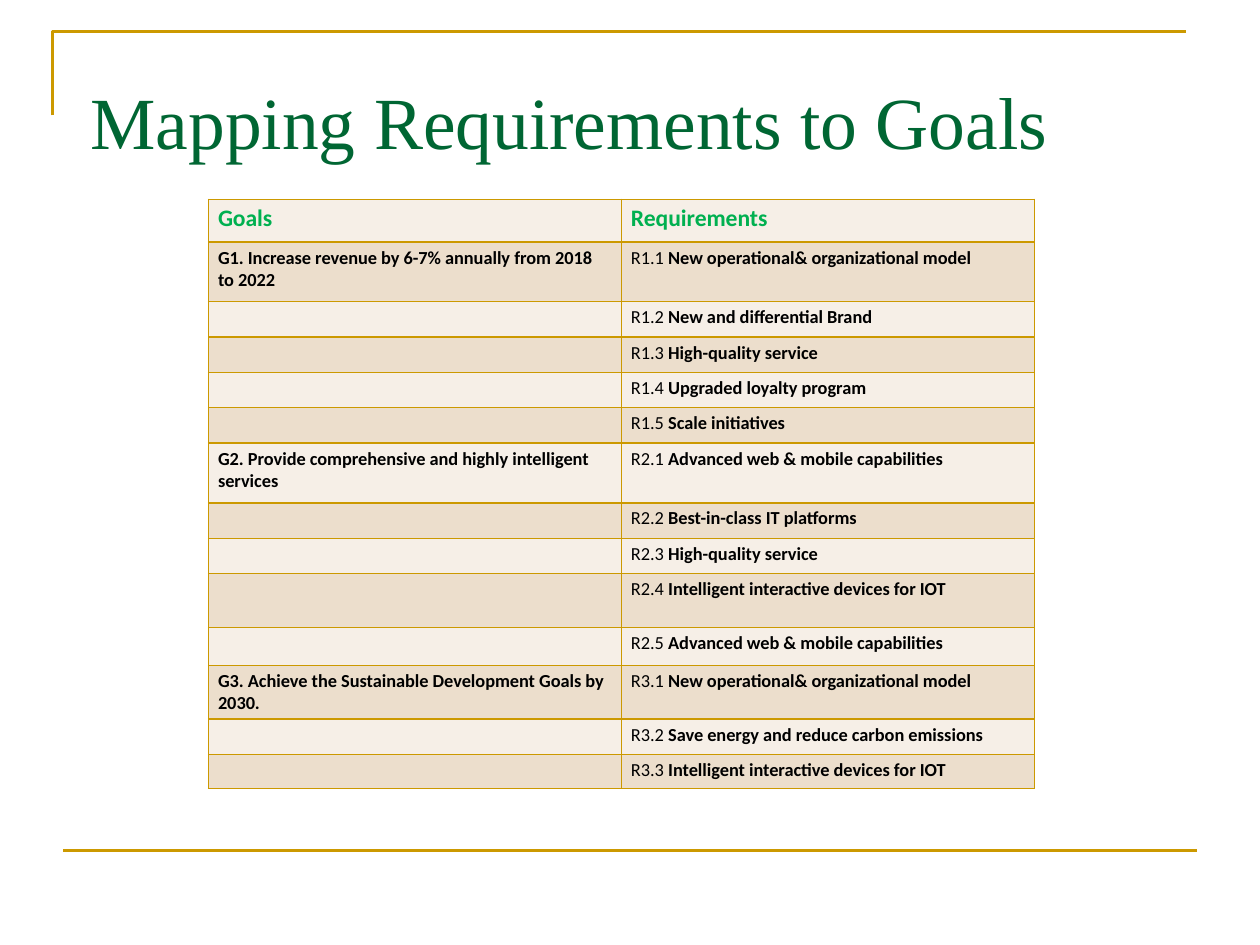
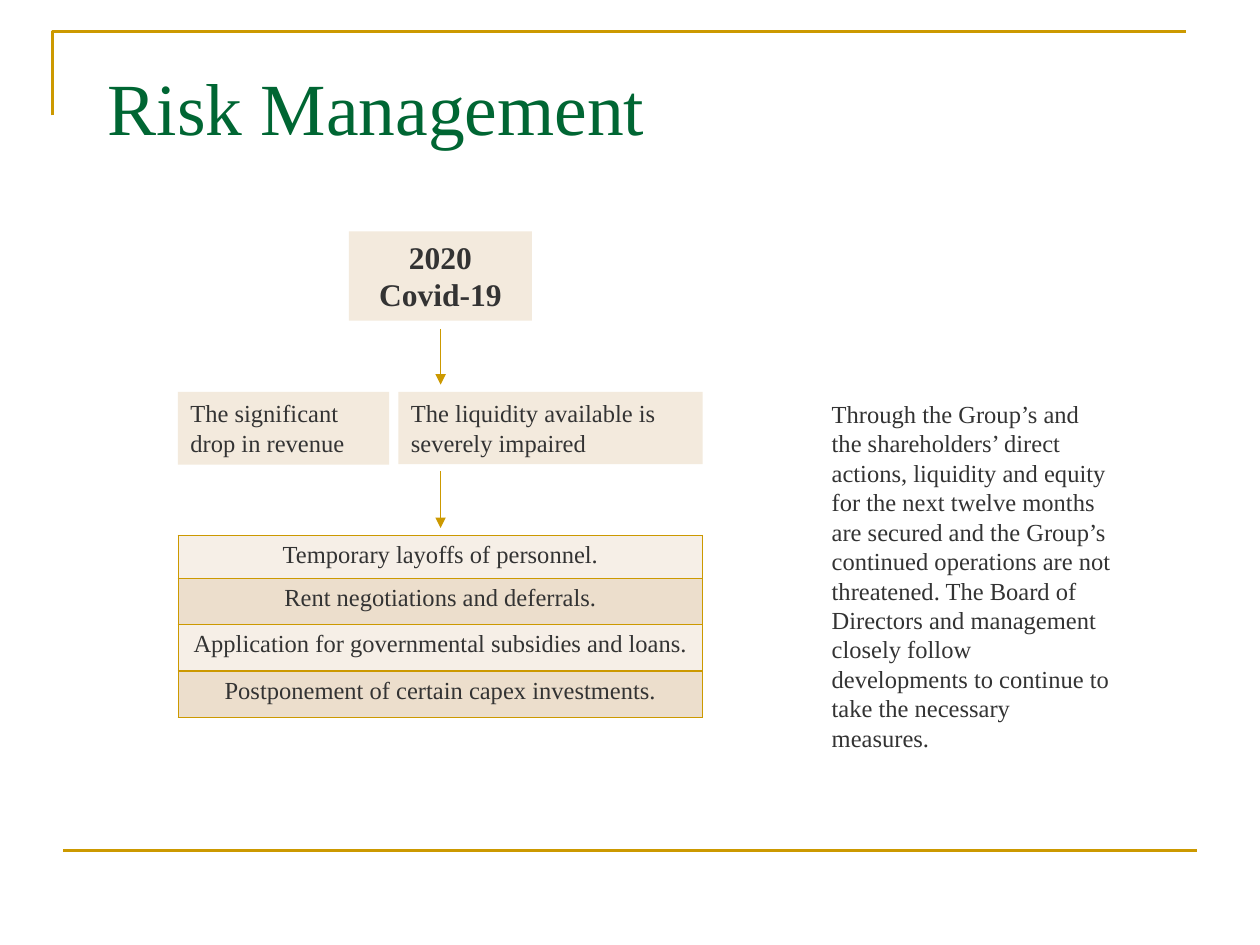
from lxml import etree
from pptx import Presentation
from pptx.dml.color import RGBColor
from pptx.enum.shapes import MSO_CONNECTOR, MSO_SHAPE
from pptx.enum.text import MSO_ANCHOR, PP_ALIGN
from pptx.oxml.ns import qn
from pptx.util import Pt

STRAIGHT = MSO_CONNECTOR.STRAIGHT
RECTANGLE = MSO_SHAPE.RECTANGLE
TOP, MIDDLE = MSO_ANCHOR.TOP, MSO_ANCHOR.MIDDLE
LEFT, CENTER = PP_ALIGN.LEFT, PP_ALIGN.CENTER

# Shared look
SERIF, SANS = "Times New Roman", "Calibri"
GOLD, TITLE_GREEN, HEADER_GREEN = "CC9900", "006633", "00B050"
INK, BLACK = "333333", "000000"
PANEL, LIGHT_ROW, DARK_ROW = "F3EADD", "F6EFE7", "ECDECC"
WIDE_INSETS = (7.2, 3.6, 7.2, 3.6)
TIGHT_INSETS = (5.4, 2.7, 5.4, 2.7)

# Goals, each with its requirements
GOALS = [
    ("G1. Increase revenue by 6-7% annually from 2018 to 2022", [
        "New operational& organizational model",
        "New and differential Brand",
        "High-quality service",
        "Upgraded loyalty program",
        "Scale initiatives"]),
    ("G2. Provide comprehensive and highly intelligent services", [
        "Advanced web & mobile capabilities",
        "Best-in-class IT platforms",
        "High-quality service",
        "Intelligent interactive devices for IOT",
        "Advanced web & mobile capabilities"]),
    ("G3. Achieve the Sustainable Development Goals by 2030.", [
        "New operational& organizational model",
        "Save energy and reduce carbon emissions",
        "Intelligent interactive devices for IOT"]),
]
GOAL_ROW_HEIGHTS = [24.4, 34, 20.3, 20.2, 20.2, 20.2, 34.2, 20.3, 20.2,
                    30.8, 21.6, 30.8, 20.1, 19.6]

MEASURES = ["Temporary layoffs of personnel.",
            "Rent negotiations and deferrals.",
            "Application for governmental subsidies and loans.",
            "Postponement of certain capex investments."]
OUTLOOK = ("Through the Group’s and the shareholders’ direct actions, liquidity "
           "and equity for the next twelve months are secured and the Group’s "
           "continued operations are not threatened. The Board of Directors and "
           "management closely follow developments to continue to take the "
           "necessary measures.")


def color(hex_code):
    return RGBColor.from_string(hex_code)


def points(*lengths):
    return [Pt(length) for length in lengths]


def style(para, size, ink=INK, font=SERIF, bold=False, align=LEFT):
    para.alignment = align
    para.font.size = Pt(size)
    para.font.name = font
    para.font.bold = bold
    para.font.color.rgb = color(ink)


def set_insets(target, insets):
    (target.margin_left, target.margin_top,
     target.margin_right, target.margin_bottom) = points(*insets)


def fill_text(shape, lines, size, insets=WIDE_INSETS, anchor=TOP, **look):
    frame = shape.text_frame
    frame.word_wrap = True
    frame.vertical_anchor = anchor
    set_insets(frame, insets)
    frame.text = "\n".join(lines)
    for para in frame.paragraphs:
        style(para, size, **look)


def add_text(page, area, text, size, **look):
    box = page.shapes.add_textbox(*points(*area))
    fill_text(box, [text], size, **look)


def add_panel(page, area, lines, size, **look):
    panel = page.shapes.add_shape(RECTANGLE, *points(*area))
    panel.shadow.inherit = False
    panel.fill.solid()
    panel.fill.fore_color.rgb = color(PANEL)
    panel.line.fill.background()
    fill_text(panel, lines, size, **look)


def add_line(page, start, end, width, arrow=False):
    line = page.shapes.add_connector(STRAIGHT, *points(*start, *end))
    line.line.color.rgb = color(GOLD)
    line.line.width = Pt(width)
    if arrow:
        etree.SubElement(line.line._get_or_add_ln(), qn("a:tailEnd"), type="triangle")
    etree.SubElement(line._element.spPr, qn("a:effectLst"))


def add_page(deck):
    """Blank page with the gold corner and the footer rule."""
    page = deck.slides.add_slide(deck.slide_layouts[6])
    builder = page.shapes.build_freeform(*points(30, 66))
    builder.add_line_segments([points(30, 18), points(678, 18)], close=False)
    corner = builder.convert_to_shape()
    corner.shadow.inherit = False
    corner.fill.background()
    corner.line.color.rgb = color(GOLD)
    corner.line.width = Pt(1.5)
    add_line(page, (36, 486), (684, 486), 1.5)
    return page


def add_title(page, area, text, insets, anchor):
    add_text(page, area, text, 42, ink=TITLE_GREEN, insets=insets, anchor=anchor)


def add_borders(cell):
    properties = cell._tc.get_or_add_tcPr()
    for side in ("lnL", "lnR", "lnT", "lnB"):
        border = etree.SubElement(properties, qn(f"a:{side}"), w=str(Pt(1)))
        solid = etree.SubElement(border, qn("a:solidFill"))
        etree.SubElement(solid, qn("a:srgbClr"), val=GOLD)


def add_banded_table(page, left, top, column_widths, row_heights, insets):
    """Empty table with gold borders and alternating row fills."""
    rows, columns = len(row_heights), len(column_widths)
    table = page.shapes.add_table(rows, columns, *points(
        left, top, sum(column_widths), sum(row_heights))).table
    table.first_row = table.horz_banding = False
    for column, width in zip(table.columns, column_widths):
        column.width = Pt(width)
    for index, (row, height) in enumerate(zip(table.rows, row_heights)):
        row.height = Pt(height)
        for cell in row.cells:
            set_insets(cell, insets)
            add_borders(cell)
            cell.fill.solid()
            cell.fill.fore_color.rgb = color(DARK_ROW if index % 2 else LIGHT_ROW)
    return table


def write_cell(cell, text, size, **look):
    para = cell.text_frame.paragraphs[0]
    style(para, size, **look)
    if text:
        para.add_run().text = text
    else:
        # Keeps an empty row as low as its neighbours
        etree.SubElement(para._p, qn("a:endParaRPr"), sz=str(int(size * 100)))
    return para


def build_goals(deck):
    page = add_page(deck)
    add_title(page, (44.6, 34.6, 620.6, 43.9), "Mapping Requirements to Goals",
              (7.2, 8.6, 7.2, 0), TOP)
    table = add_banded_table(page, 119.2, 113.9, [236, 236],
                             GOAL_ROW_HEIGHTS, TIGHT_INSETS)
    for column, heading in enumerate(["Goals", "Requirements"]):
        write_cell(table.cell(0, column), heading, 13.5,
                   ink=HEADER_GREEN, font=SANS, bold=True)
    row = 1
    for goal_number, (goal, requirements) in enumerate(GOALS, 1):
        for number, requirement in enumerate(requirements, 1):
            write_cell(table.cell(row, 0), goal if number == 1 else "", 10.5,
                       ink=BLACK, font=SANS, bold=True)
            para = write_cell(table.cell(row, 1), f"R{goal_number}.{number} ", 10.5,
                              ink=BLACK, font=SANS)
            span = para.add_run()
            span.text = requirement
            span.font.bold = True
            row += 1


def build_risks(deck):
    page = add_page(deck)
    add_title(page, (56.2, 32.4, 532.8, 56.2), "Risk Management",
              TIGHT_INSETS, MIDDLE)

    # Cause and effects
    add_panel(page, (199.4, 132.3, 104.6, 50.9), ["2020", "Covid-19"], 18,
              bold=True, align=CENTER)
    add_panel(page, (101.7, 224, 120.6, 41.5), ["The significant drop in revenue"], 14)
    add_panel(page, (227.7, 224, 173.8, 41.2),
              ["The liquidity available is severely impaired"], 14)
    for start, end in [(188, 219.8), (269.3, 301.7)]:
        add_line(page, (251.8, start), (251.8, end), 0.75, arrow=True)

    # Measures taken
    table = add_banded_table(page, 102, 306, [299.5],
                             [24.5, 26.5, 26.5, 26.5], WIDE_INSETS)
    for row, measure in enumerate(MEASURES):
        write_cell(table.cell(row, 0), measure, 14, align=CENTER)

    add_text(page, (468.2, 224.5, 175, 194), OUTLOOK, 14)


def main():
    deck = Presentation()
    deck.slide_width, deck.slide_height = points(720, 540)
    build_goals(deck)
    build_risks(deck)
    deck.save("out.pptx")


if __name__ == "__main__":
    main()
